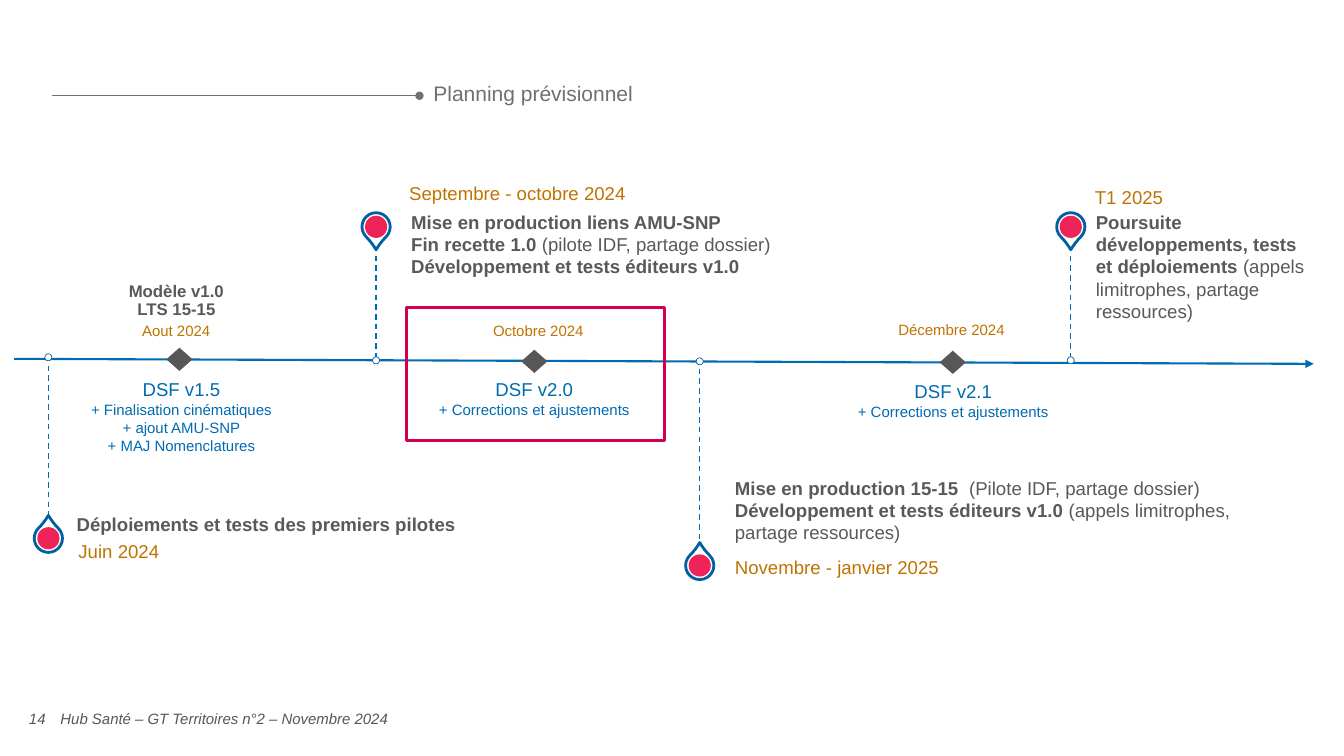
import pptx
import pptx.util
import pptx.dml.color
import pptx.enum.dml
import pptx.enum.shapes
import pptx.enum.text
import pptx.oxml
import pptx.oxml.ns

Inches = pptx.util.Inches
RGBColor = pptx.dml.color.RGBColor
SHAPE = pptx.enum.shapes.MSO_SHAPE
LEFT = pptx.enum.text.PP_ALIGN.LEFT
CENTER = pptx.enum.text.PP_ALIGN.CENTER
TOP = pptx.enum.text.MSO_ANCHOR.TOP
MIDDLE = pptx.enum.text.MSO_ANCHOR.MIDDLE

WHITE = RGBColor(0xFF, 0xFF, 0xFF)
BLUE = RGBColor(0x00, 0x6A, 0xB2)
DARK_BLUE = RGBColor(0x00, 0x60, 0xA2)
PINK = RGBColor(0xEE, 0x23, 0x57)
CRIMSON = RGBColor(0xD2, 0x00, 0x50)
GOLD = RGBColor(0xBF, 0x73, 0x00)
TITLE_GREY = RGBColor(0x6F, 0x70, 0x72)
TEXT_GREY = RGBColor(0x59, 0x59, 0x59)
DARK_GREY = RGBColor(0x57, 0x57, 0x57)

deck = pptx.Presentation()
deck.slide_width = Inches(13.33)
deck.slide_height = Inches(7.5)
slide = deck.slides.add_slide(deck.slide_layouts[6])


def write(box, paragraphs, size=13.3, color=TEXT_GREY, italic=False, align=LEFT,
          anchor=TOP, insets=(0, 0, 0, 0), spacing=1.0):
    frame = slide.shapes.add_textbox(*map(Inches, box)).text_frame
    frame.word_wrap = True
    frame.vertical_anchor = anchor
    frame.margin_left, frame.margin_top, frame.margin_right, frame.margin_bottom = map(Inches, insets)
    for index, runs in enumerate(paragraphs):
        paragraph = frame.add_paragraph() if index else frame.paragraphs[0]
        paragraph.alignment = align
        paragraph.line_spacing = spacing
        for text, style in runs:
            run = paragraph.add_run()
            run.text = text
            run.font.name = "Arial"
            run.font.size = pptx.util.Pt(style.get("size", size))
            run.font.bold = style.get("bold", False)
            run.font.italic = italic
            run.font.color.rgb = color


def draw(kind, box, fill=None, outline=None, width=0.5):
    shape = slide.shapes.add_shape(kind, *map(Inches, box))
    shape.shadow.inherit = False
    if fill is None:
        shape.fill.background()
    else:
        shape.fill.solid()
        shape.fill.fore_color.rgb = fill
    if outline is None:
        shape.line.fill.background()
    else:
        shape.line.color.rgb = outline
        shape.line.width = pptx.util.Pt(width)
    return shape


BOLD = {"bold": True}
PLAIN = {}
SMALL = {"size": 10.7}
BODY_INSETS = (0.1, 0.05, 0.1, 0.05)
DATE_INSETS = (0.1, 0, 0.1, 0)

# center x, drop top, rotation, stem top, stem bottom, dot top
pins = [
    (0.48, 5.2, 315, 3.53, 5.14, 3.51),
    (3.73, 2.11, 135, 2.44, 3.57, 3.54),
    (6.94, 5.47, 315, 3.56, 5.37, 3.55),
    (10.62, 2.11, 135, 2.44, 3.57, 3.54),
]

lines = [
    (0.52, 0.95, 4.16, 0.95, TITLE_GREY, 0.5, "oval"),
    (0.14, 3.56, 13.03, 3.61, BLUE, 1.5, "triangle"),
]
lines += [(x, start, x, end, BLUE, 1, None) for x, _, _, start, end, _ in pins]
for x1, y1, x2, y2, color, width, head in lines:
    line = slide.shapes.add_connector(
        pptx.enum.shapes.MSO_CONNECTOR.STRAIGHT, *map(Inches, (x1, y1, x2, y2)))
    line.line.color.rgb = color
    line.line.width = pptx.util.Pt(width)
    if head:
        tail = pptx.oxml.parse_xml(
            f'<a:tailEnd {pptx.oxml.ns.nsdecls("a")} type="{head}"/>')
        line.line._get_or_add_ln().append(tail)
    else:
        line.line.dash_style = pptx.enum.dml.MSO_LINE.DASH
    line._element.spPr.append(
        pptx.oxml.parse_xml(f'<a:effectLst {pptx.oxml.ns.nsdecls("a")}/>'))

for x, drop_top, rotation, _, _, dot_top in pins:
    drop = draw(SHAPE.TEAR, (x - 0.14, drop_top, 0.28, 0.28), WHITE, DARK_BLUE, 2)
    drop.adjustments[0] = 1.15
    drop.rotation = rotation
    draw(SHAPE.OVAL, (x - 0.11, drop_top + 0.03, 0.22, 0.22), PINK)
    draw(SHAPE.OVAL, (x - 0.07 / 2, dot_top, 0.07, 0.07), WHITE, DARK_BLUE)

for left, top in [(1.65, 3.45), (5.17, 3.47), (9.32, 3.48)]:
    draw(SHAPE.DIAMOND, (left, top, 0.26, 0.23), DARK_GREY)
draw(SHAPE.RECTANGLE, (4.03, 3.05, 2.56, 1.32), outline=CRIMSON, width=2)

write((4.2, 0.78, 7.72, 0.33), [[("Planning prévisionnel", PLAIN)]],
      size=15, color=TITLE_GREY, insets=BODY_INSETS, spacing=0.9)

versions = [
    ((0.63, 3.75, 2.34, 0.76), "DSF v1.5",
     ["+ Finalisation cinématiques", "+ ajout AMU-SNP", "+ MAJ Nomenclatures"]),
    ((4.13, 3.75, 2.34, 0.4), "DSF v2.0", ["+ Corrections et ajustements"]),
    ((8.47, 3.77, 1.97, 0.4), "DSF v2.1", ["+ Corrections et ajustements"]),
]
for box, version, changes in versions:
    write(box, [[(version, PLAIN)]] + [[(change, SMALL)] for change in changes],
          color=BLUE, align=CENTER)

for box, month in [
    ((1.41, 3.19, 0.74, 0.18), "Aout 2024"),
    ((4.89, 3.19, 0.93, 0.18), "Octobre 2024"),
    ((8.91, 3.18, 1.11, 0.18), "Décembre 2024"),
]:
    write(box, [[(month, PLAIN)]], size=10.7, color=GOLD)

for box, period in [
    ((0.68, 5.33, 1.06, 0.28), "Juin 2024"),
    ((3.96, 1.81, 2.47, 0.21), "Septembre - octobre 2024"),
    ((7.19, 5.49, 2.64, 0.28), "Novembre - janvier 2025"),
    ((10.76, 1.82, 1.92, 0.27), "T1 2025"),
]:
    write(box, [[(period, PLAIN)]], color=GOLD, anchor=MIDDLE, insets=DATE_INSETS)

write((0.76, 5, 4.57, 0.43), [[("Déploiements et tests des premiers pilotes", BOLD)]],
      anchor=MIDDLE, insets=(0, 0, 0.12, 0), spacing=0.9)
write((1.11, 2.77, 1.4, 0.43), [[("Modèle v1.0 LTS 15-15", BOLD)]], size=12,
      align=CENTER, anchor=MIDDLE, insets=(0, 0, 0.12, 0), spacing=0.9)

steps = [
    ((3.98, 2.04, 4.11, 0.77), [
        [("Mise en production liens AMU-SNP", BOLD)],
        [("Fin recette 1.0 ", BOLD), ("(pilote IDF, partage dossier)", PLAIN)],
        [("Développement et tests éditeurs v1.0", BOLD)]]),
    ((7.19, 4.68, 5.14, 0.77), [
        [("Mise en production 15-15 ", BOLD), (" (Pilote IDF, partage dossier)", PLAIN)],
        [("Développement et tests éditeurs v1.0 ", BOLD),
         ("(appels limitrophes, partage ressources)", PLAIN)]]),
    ((10.77, 2.04, 2.32, 1.22), [
        [("Poursuite développements, tests et déploiements ", BOLD),
         ("(appels limitrophes, partage ressources)", PLAIN)]]),
]
for box, paragraphs in steps:
    write(box, paragraphs, insets=BODY_INSETS)

for box, footer, align in [
    ((0.16, 6.93, 0.42, 0.4), "14", CENTER),
    ((0.6, 6.93, 10.1, 0.4), "Hub Santé – GT Territoires n°2 – Novembre 2024", LEFT),
]:
    write(box, [[(footer, PLAIN)]], size=10.7, color=DARK_GREY, italic=True,
          align=align, anchor=MIDDLE)

deck.save("out.pptx")
